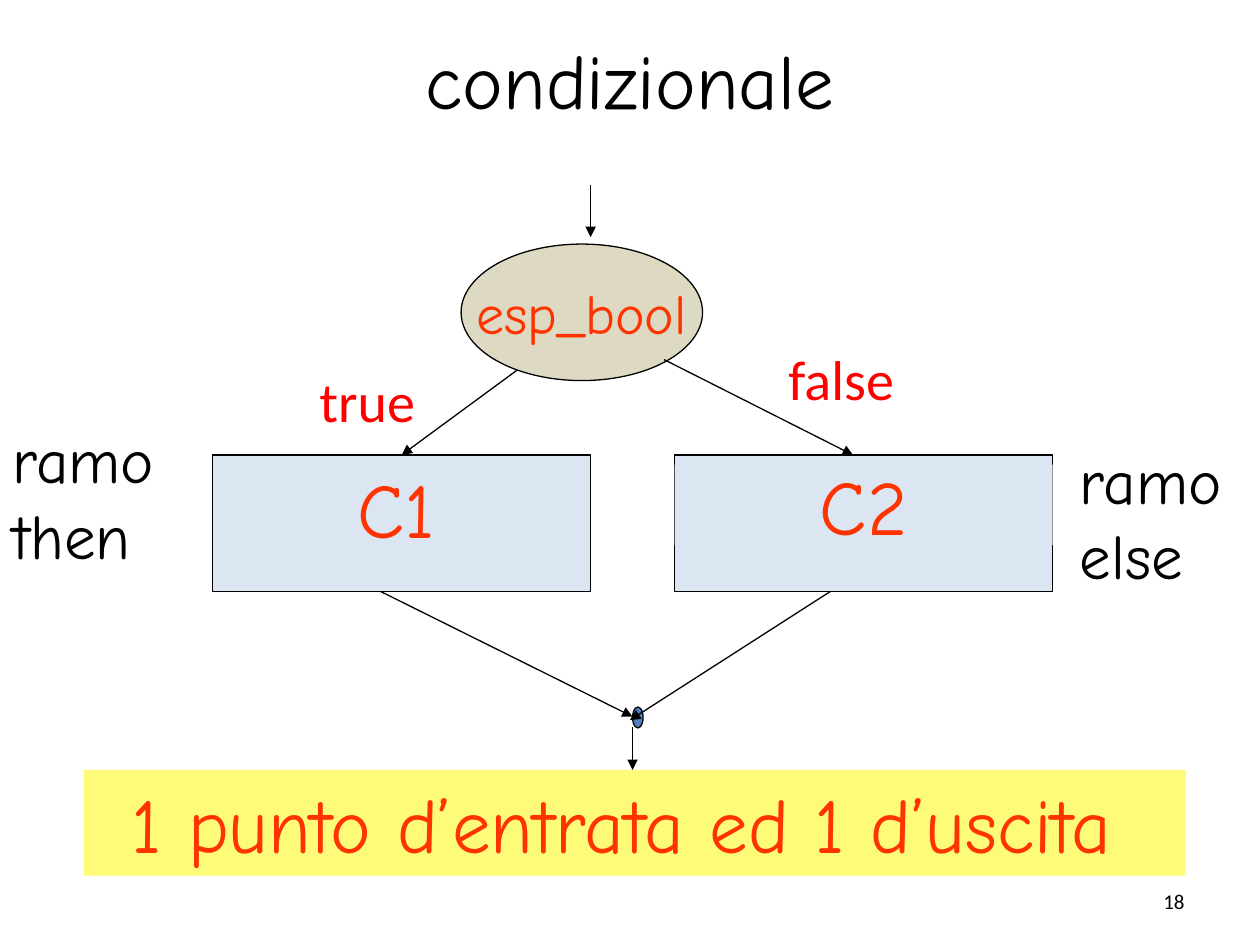
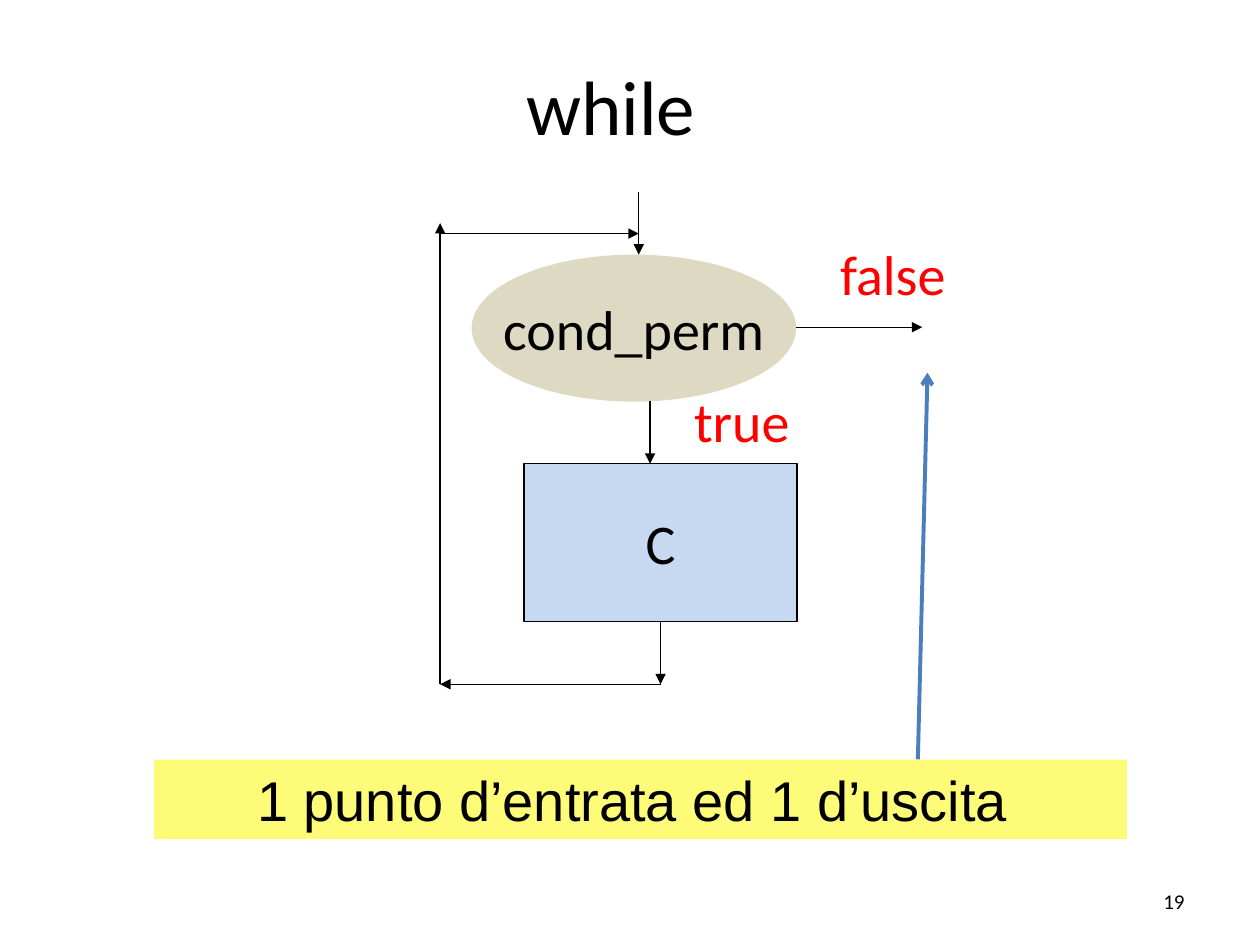
from dataclasses import dataclass
from typing import Optional

from lxml import etree
from pptx import Presentation
from pptx import util as u
from pptx.dml.color import RGBColor
from pptx.enum import shapes, text
from pptx.oxml import ns

Pt = u.Pt

# Colours
BLACK = RGBColor(0x00, 0x00, 0x00)
RED = RGBColor(0xFF, 0x00, 0x00)
ORANGE = RGBColor(0xFF, 0x33, 0x00)
SAND = RGBColor(0xDD, 0xD9, 0xC3)
PALE = RGBColor(0xDC, 0xE6, 0xF2)
SKY = RGBColor(0xC6, 0xD9, 0xF1)
BLUE = RGBColor(0x4F, 0x81, 0xBD)
STEEL = RGBColor(0x4B, 0x7E, 0xBC)
YELLOW = RGBColor(0xFE, 0xFB, 0x79)

# Fonts and shared terms
COMIC, PLAIN, SANS = "Comic Neue", "Calibri", "Arial"
RECT, OVAL = shapes.MSO_SHAPE.RECTANGLE, shapes.MSO_SHAPE.OVAL
LEFT, MID, RIGHT = text.PP_ALIGN.LEFT, text.PP_ALIGN.CENTER, text.PP_ALIGN.RIGHT
TOP, CENTER = text.MSO_ANCHOR.TOP, text.MSO_ANCHOR.MIDDLE
MOTTO = "1 punto d’entrata ed 1 d’uscita "


@dataclass
class Style:
    name: str
    size: float
    color: RGBColor = BLACK
    align: text.PP_ALIGN = MID
    anchor: text.MSO_ANCHOR = CENTER
    wrap: bool = False


@dataclass
class Node:
    """A filled shape, or a plain text box when fill is None."""
    at: tuple
    fill: Optional[RGBColor] = None
    words: str = ""
    style: Optional[Style] = None
    kind: shapes.MSO_SHAPE = RECT
    edge: bool = False


@dataclass
class Arrow:
    start: tuple
    end: tuple
    color: RGBColor = BLACK
    width: float = 0.75
    head: str = "triangle"


@dataclass
class Page:
    title: Node
    number: str
    nodes: list
    arrows: list
    notes: list


def write(frame, words: str, style: Style) -> None:
    frame.text = words
    frame.auto_size = text.MSO_AUTO_SIZE.NONE
    frame.word_wrap = style.wrap
    frame.vertical_anchor = style.anchor
    for para in frame.paragraphs:
        para.alignment = style.align
        for run in para.runs:
            form = {"name": style.name, "size": Pt(style.size)}
            for key, val in form.items():
                setattr(run.font, key, val)
            run.font.color.rgb = style.color


def draw_node(slide, node: Node) -> None:
    box = [Pt(v) for v in node.at]
    if node.fill is None:
        shape = slide.shapes.add_textbox(*box)
    else:
        shape = slide.shapes.add_shape(node.kind, *box)
        shape.shadow.inherit = False
        shape.fill.solid()
        shape.fill.fore_color.rgb = node.fill
        if node.edge:
            shape.line.color.rgb = BLACK
            shape.line.width = Pt(0.75)
        else:
            shape.line.fill.background()
    if node.words:
        write(shape.text_frame, node.words, node.style)


def draw_arrow(slide, arrow: Arrow) -> None:
    ends = [Pt(v) for v in arrow.start + arrow.end]
    link = slide.shapes.add_connector(shapes.MSO_CONNECTOR.STRAIGHT, *ends)
    link.line.color.rgb = arrow.color
    link.line.width = Pt(arrow.width)
    tip = etree.SubElement(link.line._get_or_add_ln(), ns.qn("a:tailEnd"))
    tip.set("type", arrow.head)
    etree.SubElement(link._element.spPr, ns.qn("a:effectLst"))


def draw_title(slide, node: Node) -> None:
    title = slide.shapes.title
    for key, val in zip(("left", "top", "width", "height"), node.at):
        setattr(title, key, Pt(val))
    write(title.text_frame, node.words, node.style)


def draw_page(deck, page: Page) -> None:
    slide = deck.slides.add_slide(deck.slide_layouts[5])
    draw_title(slide, page.title)
    foot = Node((516, 500.4, 168, 28.8), None, page.number,
                Style(PLAIN, 12, align=RIGHT, wrap=True))
    for node in [foot] + page.nodes:
        draw_node(slide, node)
    for arrow in page.arrows:
        draw_arrow(slide, arrow)
    for node in page.notes:
        draw_node(slide, node)


# Text styles
BRANCH = Style(PLAIN, 32, RED, LEFT, TOP, True)
SIDE = Style(COMIC, 36, BLACK, LEFT, TOP, True)
BIG = Style(COMIC, 44, ORANGE)
BIG_TOP = Style(COMIC, 44, ORANGE, anchor=TOP, wrap=True)
TEST = Style(PLAIN, 32)

# Conditional: two branches that meet again
W, H, Y = 216, 78, 260
LX, RX = 121.5, 385.5
JOIN = 361.5
choice = Page(
    Node((54, 0, 612, 90), None, "condizionale", Style(COMIC, 44, wrap=True)),
    "18",
    [Node((263.5, 139.5, 138, 78), SAND, "esp_bool",
          Style(COMIC, 32, ORANGE), OVAL, True)]
    + [Node((x, Y, W, H), PALE, edge=True) for x in (LX, RX)]
    + [Node((RX, 265.5, W, 46), PALE, "C2", BIG),
       Node((JOIN, 404, 6, 12), BLUE, kind=OVAL, edge=True)],
    [Arrow((295.5, 211.5), (229.5, Y)),
     Arrow((379.5, 205.5), (487.5, Y)),
     Arrow((217.5, Y + H), (JOIN, 409.5)),
     Arrow((474.5, Y + H), (360, 411.5)),
     Arrow((JOIN, 415.5), (JOIN, 440)),
     Arrow((337.5, 105.5), (337.5, 135.5))],
    [Node((127.5, Y, 198, 60.5), None, "C1", BIG_TOP),
     Node((175.5, 206, 108, 45.5), None, "true", BRANCH),
     Node((443.5, 193.5, 144, 45.5), None, "false", BRANCH),
     Node((0, 237, 102, 93.5), None, "ramo\vthen", SIDE),
     Node((610, 248.5, 110, 93.5), None, "ramo else", SIDE),
     Node((48, 440, 629.5, 60.5), YELLOW, MOTTO, BIG_TOP)],
)

# Loop: test, body and the way back
BACK, IN, OUT = 251.5, 365, 377.5
LOW, ENTRY = 391, 133.5
loop = Page(
    Node((48, 15, 612, 90), None, "while ", Style(PLAIN, 44, wrap=True)),
    "19",
    [Node((269.5, 145.5, 185.5, 84), SAND, "cond_perm", TEST, OVAL),
     Node((299.5, 265, 156, 90), SKY, "C", TEST, edge=True)],
    [Arrow((371.5, 229), (371.5, 265)),
     Arrow((455, 187), (527, 187)),
     Arrow((IN, 109.5), (IN, 145.5)),
     Arrow((OUT, LOW), (BACK, LOW)),
     Arrow((BACK, LOW), (BACK, 127.5)),
     Arrow((BACK, ENTRY), (IN, ENTRY)),
     Arrow((OUT, 355), (OUT, LOW)),
     Arrow((524.5, 434), (530, 213), STEEL, 2.25, "arrow")],
    [Node((389.5, 217.5, 126, 45.5), None, "true", BRANCH),
     Node((473, 133.5, 108, 45.5), None, "false", BRANCH),
     Node((88, 434, 556, 45.5), YELLOW, MOTTO,
          Style(SANS, 32, anchor=TOP, wrap=True))],
)

# Build the deck
deck = Presentation()
deck.slide_width, deck.slide_height = Pt(720), Pt(540)
for page in (choice, loop):
    draw_page(deck, page)
deck.save("out.pptx")
